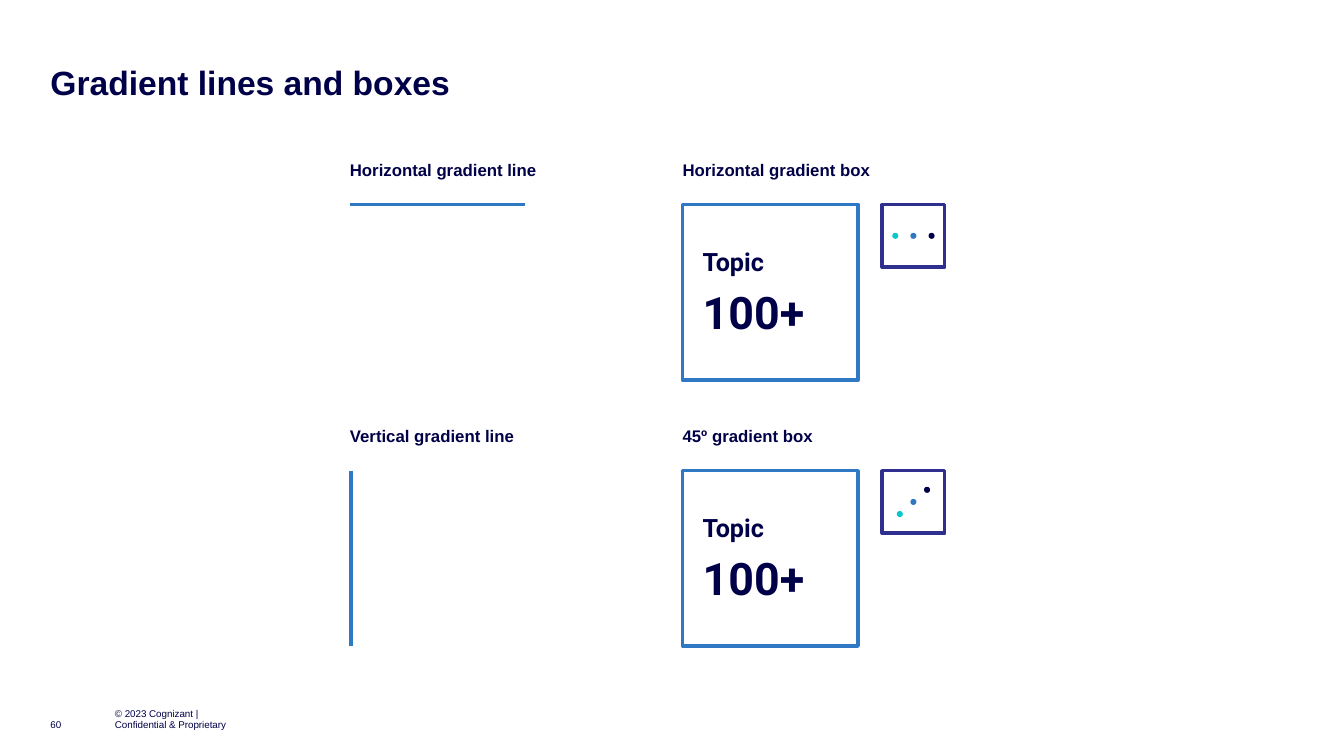
import pptx
import pptx.dml.color
import pptx.enum.shapes
import pptx.enum.text
import pptx.oxml.ns
import pptx.util
from lxml import etree

Inches = pptx.util.Inches
Shape = pptx.enum.shapes.MSO_SHAPE
Anchor = pptx.enum.text.MSO_ANCHOR

COLORS = {"navy": "000048", "blue": "2F78C4", "indigo": "2E2F8E", "teal": "05C7CC"}
LINE_WIDTH = 2.5
LINE_LEFT, BOX_LEFT, KEY_LEFT = 3.47, 6.77, 8.75
BOX_SIZE, KEY_SIZE, DOT_SIZE = 1.74, 0.62, 0.06
LABEL_RISE = 0.45

TITLE = ("Gradient lines and boxes", (0.5, 0.61, 11.82, 0.34))
FOOTERS = [
    ("60", (0.5, 7.04, 0.39, 0.21)),
    ("© 2023 Cognizant | Confidential & Proprietary", (1.14, 7.04, 1.31, 0.21)),
]
BOX_TEXT = [("Topic", 18, 0), ("100+", 32, 6)]
DOT_COLORS = ["teal", "blue", "navy"]
# Dot steps run from the teal dot to the navy one.
ROWS = [
    {"top": 2.03, "line_label": "Horizontal gradient line", "line_x": 3.47,
     "line_span": (BOX_SIZE, 0), "box_label": "Horizontal gradient box",
     "dot_step": (0.18, 0)},
    {"top": 4.67, "line_label": "Vertical gradient line", "line_x": 3.48,
     "line_span": (0, BOX_SIZE), "box_label": "45º gradient box",
     "dot_step": (0.135, -0.12)},
]

deck = pptx.Presentation()
deck.slide_width, deck.slide_height = Inches(13.33), Inches(7.5)
page = deck.slides.add_slide(deck.slide_layouts[6])


def color(name):
    return pptx.dml.color.RGBColor.from_string(COLORS[name])


def lengths(values):
    return [Inches(value) for value in values]


def set_frame(frame, **values):
    for name, value in values.items():
        setattr(frame, name, value)


def write(para, text, size, font="Arial", bold=False):
    para.alignment = pptx.enum.text.PP_ALIGN.LEFT
    span = para.add_run()
    span.text = text
    formats = {"name": font, "size": pptx.util.Pt(size), "bold": bold}
    for name, value in formats.items():
        setattr(span.font, name, value)
    span.font.color.rgb = color("navy")


def add_text(text, place, size, bold=True, wrap=True, anchor=Anchor.TOP):
    frame = page.shapes.add_textbox(*lengths(place)).text_frame
    set_frame(frame, margin_left=0, margin_right=0, margin_top=0, margin_bottom=0,
              word_wrap=wrap, vertical_anchor=anchor)
    write(frame.paragraphs[0], text, size, bold=bold)


def add_outline(left, top, size, line_color):
    box = page.shapes.add_shape(Shape.RECTANGLE, *lengths((left, top, size, size)))
    box.shadow.inherit = False
    box.fill.background()
    box.line.color.rgb = color(line_color)
    box.line.width = pptx.util.Pt(LINE_WIDTH)
    return box


def add_topic_box(top):
    frame = add_outline(BOX_LEFT, top, BOX_SIZE, "blue").text_frame
    set_frame(frame, margin_left=Inches(0.2), margin_right=Inches(0.1),
              margin_top=Inches(0.05), margin_bottom=Inches(0.05),
              word_wrap=True, vertical_anchor=Anchor.MIDDLE)
    for index, (text, size, gap) in enumerate(BOX_TEXT):
        para = frame.add_paragraph() if index else frame.paragraphs[0]
        if gap:
            para.space_before = pptx.util.Pt(gap)
        write(para, text, size, "Roboto", True)


def add_gradient_key(top, step):
    """Draw the small square whose dots show the direction of the gradient."""
    add_outline(KEY_LEFT, top, KEY_SIZE, "indigo")
    inset = (KEY_SIZE - DOT_SIZE) / 2
    for offset, name in enumerate(DOT_COLORS, start=-1):
        place = (KEY_LEFT + inset + offset * step[0], top + inset + offset * step[1],
                 DOT_SIZE, DOT_SIZE)
        dot = page.shapes.add_shape(Shape.OVAL, *lengths(place))
        dot.shadow.inherit = False
        dot.fill.solid()
        dot.fill.fore_color.rgb = color(name)
        dot.line.fill.background()


def add_line(left, top, span):
    ends = lengths((left, top, left + span[0], top + span[1]))
    line = page.shapes.add_connector(pptx.enum.shapes.MSO_CONNECTOR.STRAIGHT, *ends)
    line.line.color.rgb = color("blue")
    line.line.width = pptx.util.Pt(LINE_WIDTH)
    etree.SubElement(line._element.spPr, pptx.oxml.ns.qn("a:effectLst"))


add_text(*TITLE, 24)
for row in ROWS:
    label_top = row["top"] - LABEL_RISE
    add_text(row["line_label"], (LINE_LEFT, label_top, 1.91, 0.21), 12)
    add_text(row["box_label"], (BOX_LEFT, label_top, 2.11, 0.21), 12)
    add_line(row["line_x"], row["top"], row["line_span"])
    add_topic_box(row["top"])
    add_gradient_key(row["top"], row["dot_step"])
for text, place in FOOTERS:
    add_text(text, place, 7, bold=False, wrap=False, anchor=Anchor.BOTTOM)

deck.save("out.pptx")
